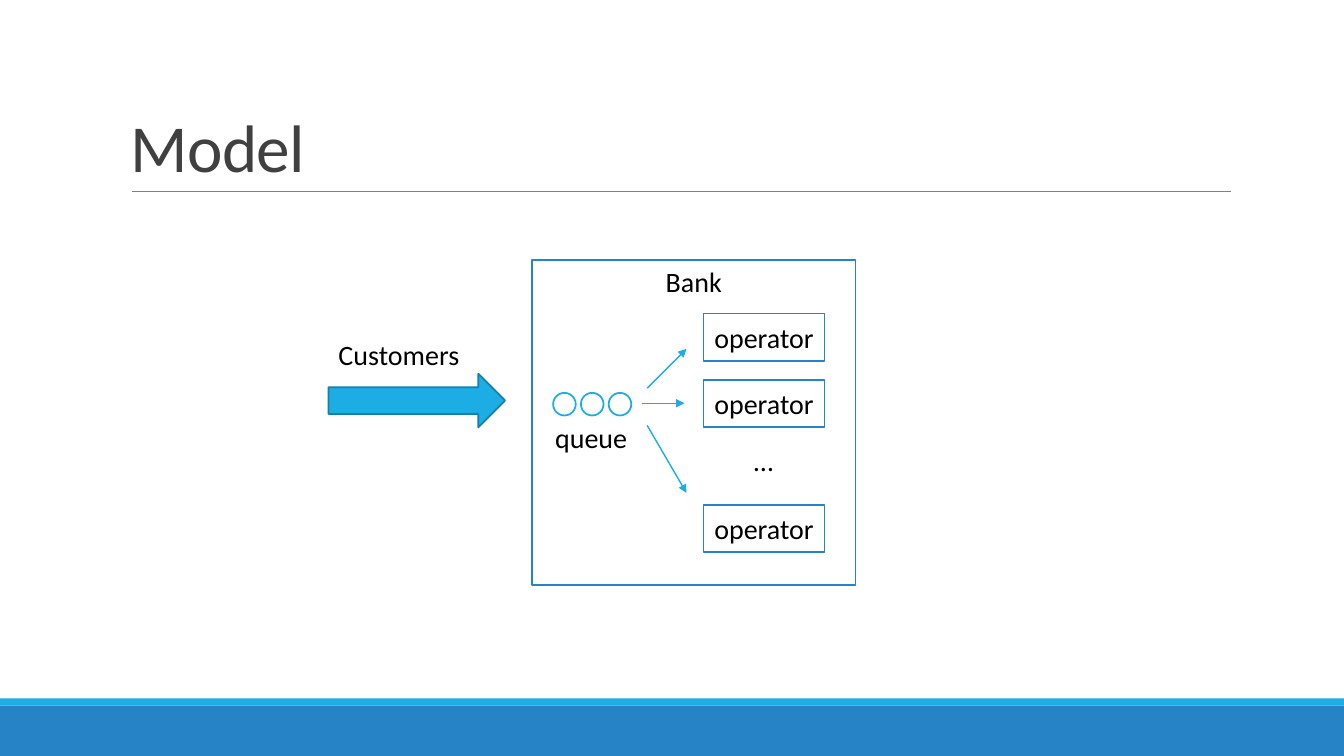
"""Build the slide that models a bank with a queue and operators."""
from dataclasses import dataclass
from typing import Any, Optional

from lxml.etree import SubElement as Sub
from pptx import Presentation as Deck
from pptx.dml.color import RGBColor as Rgb
from pptx.enum.shapes import MSO_CONNECTOR as Link, MSO_SHAPE as Form
from pptx.enum.text import MSO_ANCHOR as Anchor, PP_ALIGN as Align
from pptx.oxml.ns import qn
from pptx.util import Cm, Pt

BLUE = Rgb(0x26, 0x83, 0xC6)
CYAN = Rgb(0x1C, 0xAD, 0xE4)
TEAL = Rgb(0x15, 0x80, 0xA9)
GREY = Rgb(0x80, 0x80, 0x80)
DARK = Rgb(0x40, 0x40, 0x40)
BLACK = Rgb(0, 0, 0)
WHITE = Rgb(0xFF, 0xFF, 0xFF)

WIDE, HIGH = 33.87, 19.05
BODY = {"name": "Calibri", "size": Pt(20)}
HEAD = {"name": "Calibri", "size": Pt(48)}
FRAME = {"word_wrap": True, "vertical_anchor": Anchor.MIDDLE}
TOP = {"word_wrap": True, "vertical_anchor": Anchor.TOP}
BASE = {"word_wrap": True, "vertical_anchor": Anchor.BOTTOM}
LOOSE = {"word_wrap": False, "vertical_anchor": Anchor.TOP}
MID = {"alignment": Align.CENTER}
TIGHT = {"line_spacing": 0.85}


@dataclass
class Box:
    """A filled shape with an optional edge and text."""
    form: Form
    area: tuple[float, float, float, float]
    fill: Rgb
    edge: Optional[Rgb] = None
    text: str = ""
    frame: Optional[dict[str, Any]] = None


@dataclass
class Label:
    """Free text with its formats."""
    text: str
    area: tuple[float, float, float, float]


@dataclass
class Line:
    """A straight line, with or without an arrowhead."""
    ends: tuple[float, float, float, float]
    color: Rgb
    width: float
    arrow: bool = False


def style(item: Any, look: dict[str, Any]) -> None:
    """Set each format value on the item."""
    for key, value in look.items():
        setattr(item, key, value)


def write(shape: Any, text: str, frame: dict[str, Any], para: dict[str, Any],
          font: dict[str, Any], color: Rgb) -> Any:
    """Write one run into the shape and return it."""
    style(shape.text_frame, frame)
    line = shape.text_frame.paragraphs[0]
    style(line, para)
    run = line.add_run()
    run.text = text
    style(run.font, font)
    run.font.color.rgb = color
    return run


def draw_box(slide: Any, box: Box) -> None:
    """Draw a shape."""
    shape = slide.shapes.add_shape(box.form, *map(Cm, box.area))
    shape.shadow.inherit = False
    shape.fill.solid()
    shape.fill.fore_color.rgb = box.fill
    if box.edge is None:
        shape.line.fill.background()
    else:
        shape.line.color.rgb = box.edge
        shape.line.width = Pt(1.25)
    if box.text:
        write(shape, box.text, box.frame or FRAME, MID, BODY, BLACK)


def draw_label(slide: Any, label: Label) -> None:
    """Draw a free label."""
    shape = slide.shapes.add_textbox(*map(Cm, label.area))
    write(shape, label.text, LOOSE, {}, BODY, BLACK)


def draw_title(slide: Any, text: str) -> None:
    """Draw the title with tight letters."""
    shape = slide.shapes.add_textbox(Cm(3.05), Cm(0.79), Cm(27.94), Cm(4.04))
    run = write(shape, text, BASE, TIGHT, HEAD, DARK)
    run.font._element.set("spc", "-50")


def draw_line(slide: Any, line: Line) -> None:
    """Draw a line or an arrow."""
    link = slide.shapes.add_connector(Link.STRAIGHT, *map(Cm, line.ends))
    link.line.color.rgb = line.color
    link.line.width = Pt(line.width)
    if line.arrow:
        Sub(link.line._get_or_add_ln(), qn("a:tailEnd"), type="triangle")
    Sub(link._element.spPr, qn("a:effectLst"))


def main() -> None:
    """Build and save the slide."""
    deck = Deck()
    style(deck, {"slide_width": Cm(WIDE), "slide_height": Cm(HIGH)})
    slide = deck.slides.add_slide(deck.slide_layouts[6])

    boxes = [
        Box(Form.RECTANGLE, (0, 17.78, WIDE, 1.27), BLUE),
        Box(Form.RECTANGLE, (0, 17.6, WIDE, 0.18), CYAN),
        Box(Form.RECTANGLE, (13.41, 6.55, 8.15, 8.2), WHITE, BLUE, "Bank", TOP),
        Box(Form.RIGHT_ARROW, (8.28, 9.42, 4.45, 1.35), CYAN, TEAL),
    ]
    boxes += [Box(Form.RECTANGLE, (17.73, top, 3.05, 1.19), WHITE, BLUE, "operator")
              for top in (7.9, 9.58, 12.73)]
    boxes += [Box(Form.OVAL, (13.94 + 0.7 * spot, 9.9, 0.57, 0.57), WHITE, CYAN)
              for spot in range(3)]
    labels = [
        Label("Customers", (8.28, 8.38, 3.58, 1.12)),
        Label("…", (18.75, 11.05, 0.99, 1.12)),
        Label("queue", (13.74, 10.46, 2.34, 1.12)),
    ]
    lines = [Line((3.33, 4.83, 31.01, 4.83), GREY, 0.5)]
    lines += [Line(ends, CYAN, 1, True) for ends in (
        (16.31, 9.78, 17.3, 8.79),
        (16.18, 10.16, 17.25, 10.16),
        (16.31, 10.72, 17.3, 12.42),
    )]

    draw_title(slide, "Model")
    for box in boxes:
        draw_box(slide, box)
    for label in labels:
        draw_label(slide, label)
    for line in lines:
        draw_line(slide, line)
    deck.save("out.pptx")


main()
